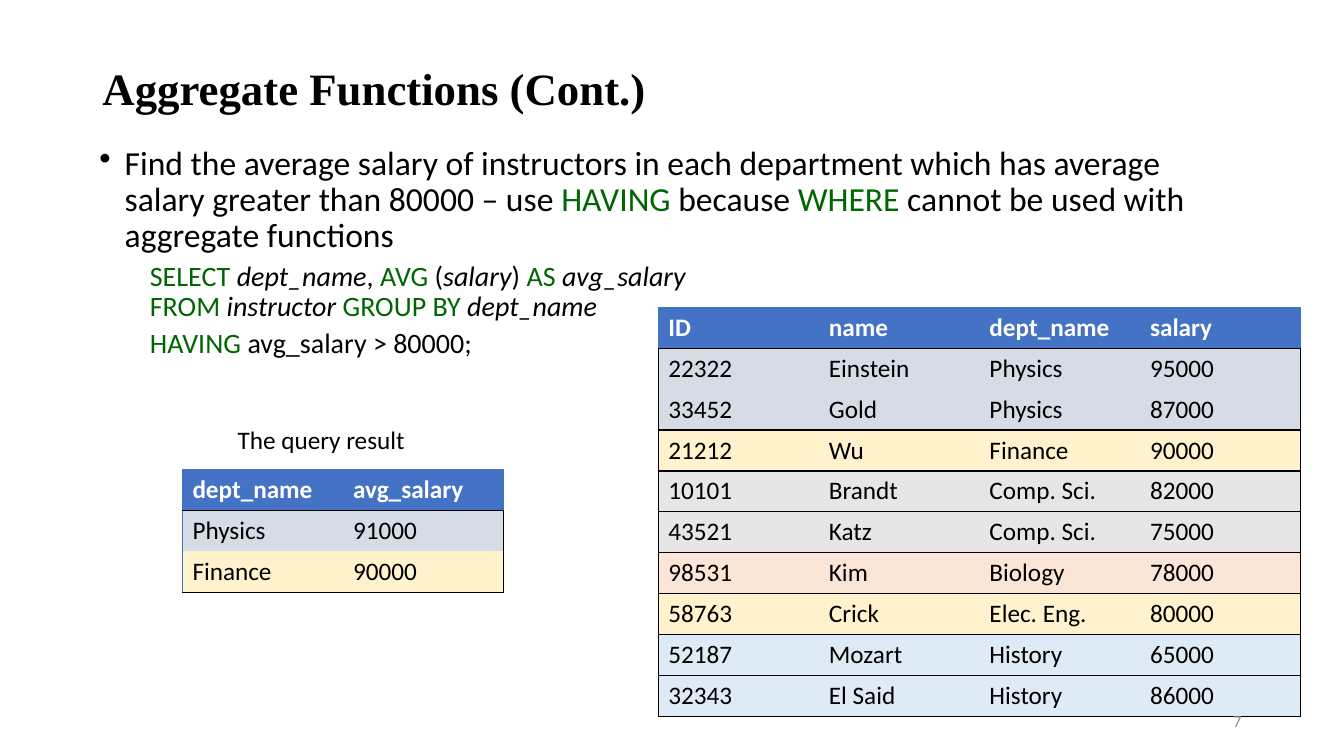
import pptx
import pptx.util
import pptx.dml.color
import pptx.enum.text
import pptx.oxml.ns
from lxml import etree

Pt = pptx.util.Pt
ALIGN = pptx.enum.text.PP_ALIGN
ANCHOR = pptx.enum.text.MSO_ANCHOR

THEME = {
    "heading_font": "Times New Roman", "body_font": "Calibri",
    "black": "000000", "keyword": "006600", "white": "FFFFFF", "muted": "8C8C8C",
    "header": "4472C4", "slate": "D6DCE5", "yellow": "FFF2CC",
    "gray": "E7E6E6", "orange": "FBE5D6", "sky": "DEEBF7",
    "title": 32, "bullet": 24, "query": 20, "table": 18, "number": 12,
}

TITLE = "Aggregate Functions (Cont.)"
BODY = [
    {"level": 0, "size": "bullet", "left": 18, "indent": -18, "before": 0, "bullet": "•", "runs": [
        ("Find the average salary of instructors in each department which has average "
         "salary greater than 80000 – use ", "plain"),
        ("HAVING", "keyword"), (" because ", "plain"), ("WHERE", "keyword"),
        (" cannot be used with aggregate functions", "plain")]},
    {"level": 1, "size": "query", "left": 36, "indent": 0, "before": 5, "bullet": None, "runs": [
        ("SELECT ", "keyword"), ("dept_name", "column"), (", ", "plain"),
        ("AVG ", "keyword"), ("(", "plain"), ("salary", "column"), (") ", "plain"),
        ("AS ", "keyword"), ("avg_salary", "column"), ("\n", "break"),
        ("FROM ", "keyword"), ("instructor ", "column"),
        ("GROUP BY ", "keyword"), ("dept_name", "column")]},
    {"level": 1, "size": "query", "left": 36, "indent": 0, "before": 5, "bullet": None, "runs": [
        ("HAVING ", "keyword"), ("avg_salary > 80000;", "plain")]},
]
INSTRUCTORS = [
    ("header", "ID", "name", "dept_name", "salary"),
    ("slate", "22322", "Einstein", "Physics", "95000"),
    ("slate", "33452", "Gold", "Physics", "87000"),
    ("yellow", "21212", "Wu", "Finance", "90000"),
    ("gray", "10101", "Brandt", "Comp. Sci.", "82000"),
    ("gray", "43521", "Katz", "Comp. Sci.", "75000"),
    ("orange", "98531", "Kim", "Biology", "78000"),
    ("yellow", "58763", "Crick", "Elec. Eng.", "80000"),
    ("sky", "52187", "Mozart", "History", "65000"),
    ("sky", "32343", "El Said", "History", "86000"),
]
AVERAGES = [
    ("header", "dept_name", "avg_salary"),
    ("slate", "Physics", "91000"),
    ("yellow", "Finance", "90000"),
]
CAPTION = "The query result"
SLIDE_NUMBER = "7"

COLUMN_WIDTH, ROW_HEIGHT = 114.7, 29.2
BLACK_LINE, BLUE_LINE = ("black", 1), ("header", 0.5)


def format_font(font, size, color="black", face="body_font", **extras):
    values = {"name": THEME[face], "size": Pt(THEME[size]), **extras}
    for name, value in values.items():
        setattr(font, name, value)
    font.color.rgb = pptx.dml.color.RGBColor.from_string(THEME[color])


def add_text(slide, box, text="", size="table", color="black", align=ALIGN.LEFT, anchor=ANCHOR.TOP):
    frame = slide.shapes.add_textbox(*map(Pt, box)).text_frame
    frame.word_wrap = True
    frame.vertical_anchor = anchor
    paragraph = frame.paragraphs[0]
    paragraph.alignment = align
    if text:
        run = paragraph.add_run()
        run.text = text
        format_font(run.font, size, color)
    return frame


def add_title(slide):
    title = slide.shapes.title
    for name, value in {"left": 66, "top": 28.8, "width": 828, "height": 72}.items():
        setattr(title, name, Pt(value))
    frame = title.text_frame
    frame.text = TITLE
    frame.auto_size = pptx.enum.text.MSO_AUTO_SIZE.NONE
    frame.vertical_anchor = ANCHOR.MIDDLE
    paragraph = frame.paragraphs[0]
    paragraph.alignment = ALIGN.LEFT
    paragraph.line_spacing = 0.9
    format_font(paragraph.runs[0].font, "title", face="heading_font", bold=True)


def add_body(slide):
    frame = add_text(slide, (64, 100.8, 828, 394.5))
    for index, entry in enumerate(BODY):
        paragraph = frame.add_paragraph() if index else frame.paragraphs[0]
        properties = paragraph._p.get_or_add_pPr()
        properties.set("marL", str(Pt(entry["left"])))
        properties.set("indent", str(Pt(entry["indent"])))
        if entry["bullet"]:
            bullet = etree.SubElement(properties, pptx.oxml.ns.qn("a:buChar"))
            bullet.set("char", entry["bullet"])
        for name, value in {"level": entry["level"], "line_spacing": 0.9,
                            "space_before": Pt(entry["before"])}.items():
            setattr(paragraph, name, value)
        for text, role in entry["runs"]:
            if role == "break":
                paragraph.add_line_break()
                continue
            run = paragraph.add_run()
            run.text = text
            color = "keyword" if role == "keyword" else "black"
            format_font(run.font, entry["size"], color, italic=role == "column")


def set_borders(cell, borders):
    properties = cell._tc.get_or_add_tcPr()
    for position, side in enumerate("LRTB"):
        line = etree.Element(pptx.oxml.ns.qn("a:ln" + side))
        properties.insert(position, line)
        if side in borders:
            color, width = borders[side]
            line.set("w", str(Pt(width)))
            fill = etree.SubElement(line, pptx.oxml.ns.qn("a:solidFill"))
            etree.SubElement(fill, pptx.oxml.ns.qn("a:srgbClr")).set("val", THEME[color])
        else:
            line.set("w", "0")
            etree.SubElement(line, pptx.oxml.ns.qn("a:noFill"))


def add_grid(slide, left, top, records, left_line, unruled_rows):
    rows, columns = len(records), len(records[0]) - 1
    table = slide.shapes.add_table(rows, columns, Pt(left), Pt(top),
                                   Pt(columns * COLUMN_WIDTH), Pt(rows * ROW_HEIGHT)).table
    table.horz_banding = False
    for column in table.columns:
        column.width = Pt(COLUMN_WIDTH)
    for row_index, (fill, *values) in enumerate(records):
        table.rows[row_index].height = Pt(ROW_HEIGHT)
        is_header = row_index == 0
        for column_index, value in enumerate(values):
            cell = table.cell(row_index, column_index)
            cell.fill.solid()
            cell.fill.fore_color.rgb = pptx.dml.color.RGBColor.from_string(THEME[fill])
            run = cell.text_frame.paragraphs[0].add_run()
            run.text = value
            format_font(run.font, "table", "white" if is_header else "black", bold=is_header)
            borders = {}
            if is_header:
                borders["T"] = BLUE_LINE
            elif row_index - 1 not in unruled_rows:
                borders["T"] = BLACK_LINE
            if row_index not in unruled_rows:
                borders["B"] = BLACK_LINE
            if column_index == 0:
                borders["L"] = BLUE_LINE if is_header else left_line
            if column_index == columns - 1:
                borders["R"] = BLUE_LINE if is_header else BLACK_LINE
            set_borders(cell, borders)


def main():
    presentation = pptx.Presentation()
    presentation.slide_width, presentation.slide_height = Pt(960), Pt(540)
    slide = presentation.slides.add_slide(presentation.slide_layouts[5])
    add_title(slide)
    add_body(slide)
    add_grid(slide, 470.2, 219.6, INSTRUCTORS, BLACK_LINE, {1})
    add_grid(slide, 130.3, 335.5, AVERAGES, BLUE_LINE, {1})
    add_text(slide, (162.7, 299.5, 197.3, 29), CAPTION)
    add_text(slide, (678, 500.5, 216, 28.8), SLIDE_NUMBER, "number", "muted",
             ALIGN.RIGHT, ANCHOR.MIDDLE)
    presentation.save("out.pptx")


if __name__ == "__main__":
    main()
